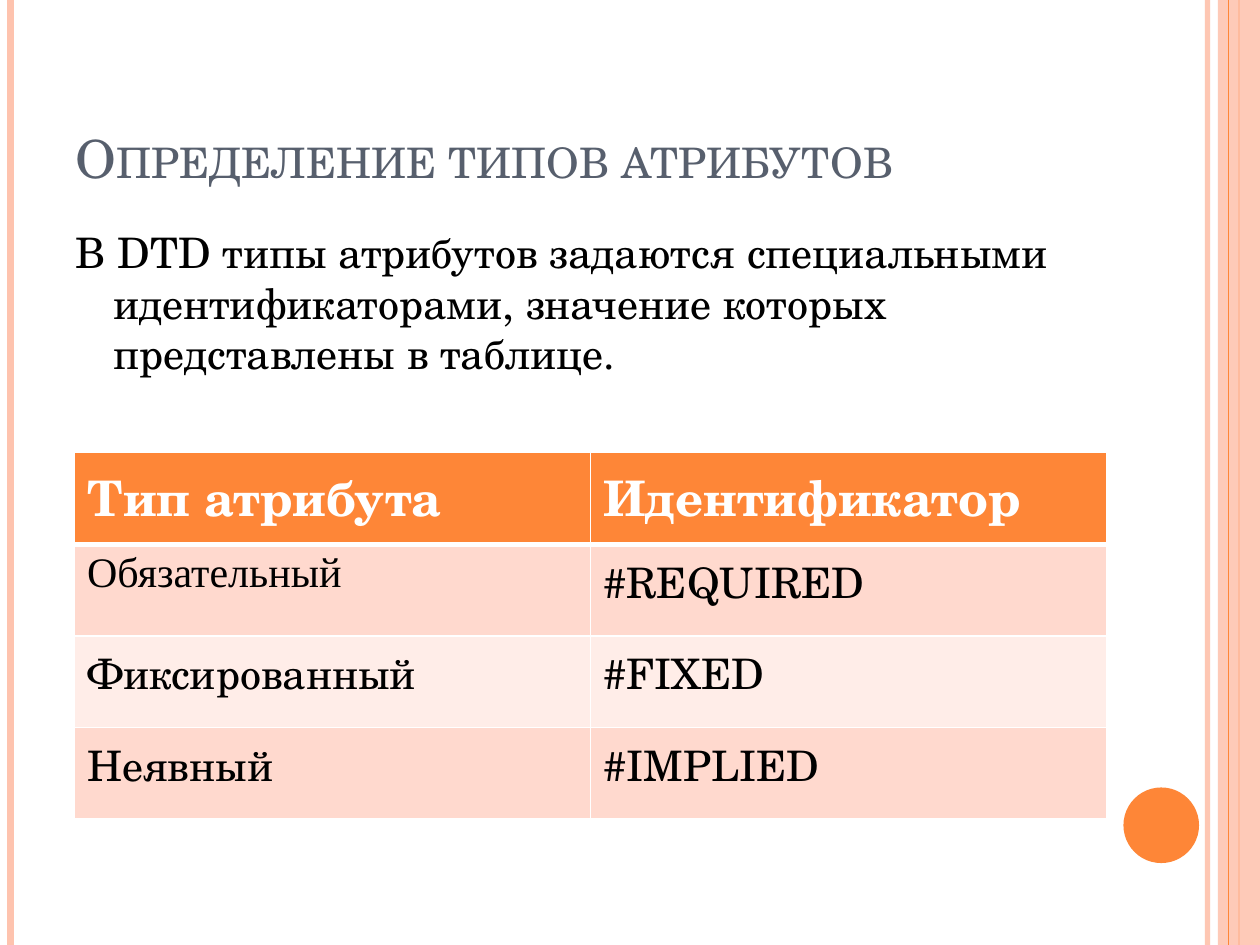
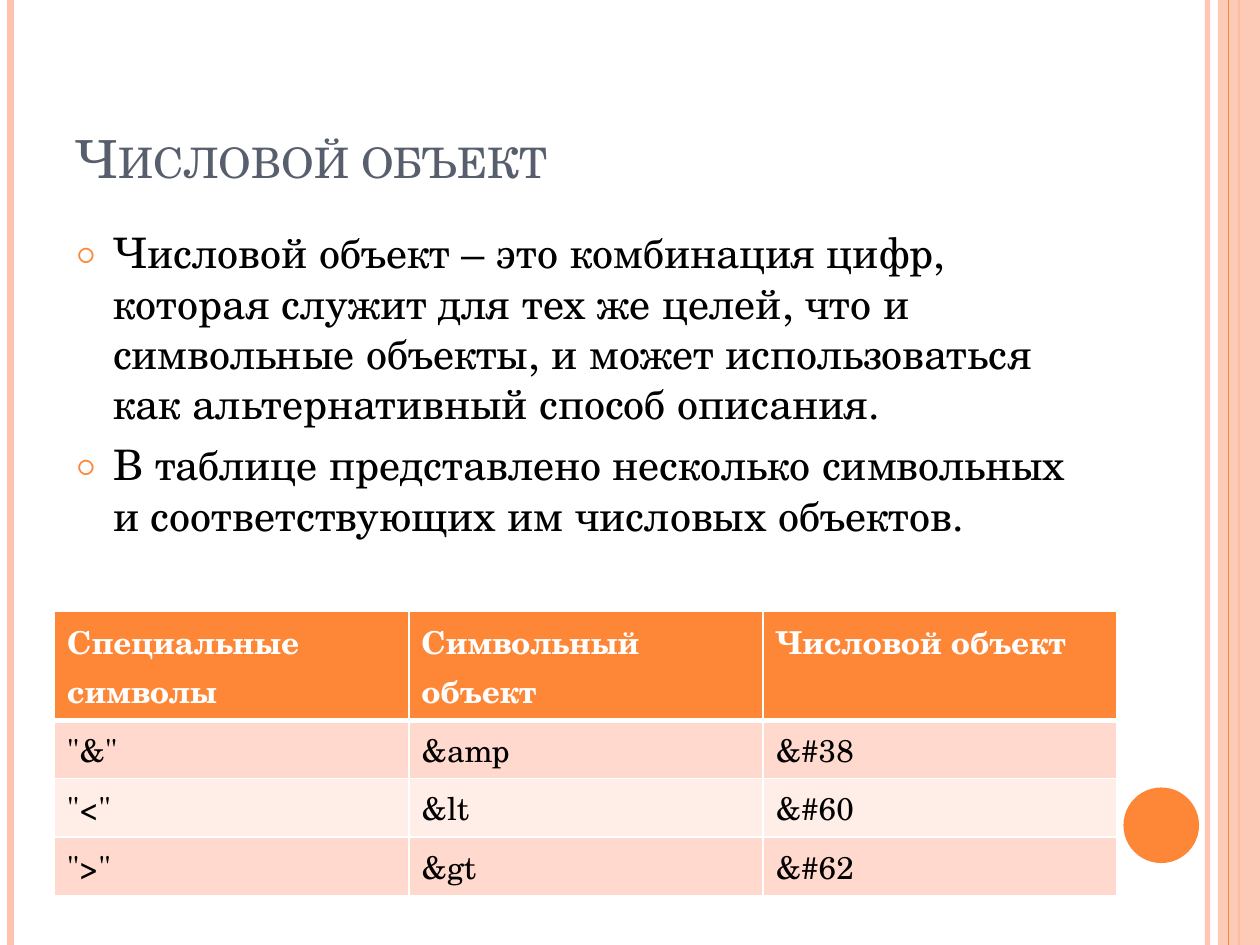
from dataclasses import dataclass
from typing import NamedTuple, Optional

from lxml.etree import SubElement as add_element
from pptx import Presentation
from pptx.dml.color import RGBColor
from pptx.enum.shapes import MSO_CONNECTOR as Connector, MSO_SHAPE as Shape
from pptx.enum.text import MSO_ANCHOR as Anchor
from pptx.oxml.ns import qn
from pptx.util import Inches, Pt

# Grid: 120 columns by 90 rows over the whole slide
COLUMNS, ROWS = 120, 90
SLIDE_WIDTH, SLIDE_HEIGHT = Inches(10), Inches(7.5)


@dataclass(frozen=True)
class Theme:
    font: str = "TeX Gyre Schola"
    plain_font: str = "Times New Roman"
    accent: str = "FE8637"
    band: str = "FEC3AE"
    title: str = "575F6D"
    text: str = "000000"
    white: str = "FFFFFF"
    row_tints: tuple[str, str] = ("FFD9CE", "FFEDE8")
    title_size: float = 30
    body_size: float = 24


THEME = Theme()


class Area(NamedTuple):
    left: float
    top: float
    width: float
    height: float

    def lengths(self) -> tuple[int, int, int, int]:
        return (across(self.left), down(self.top), across(self.width), down(self.height))


class Stripe(NamedTuple):
    column: float
    color: str
    weight: float
    opacity: int = 100


class Block(NamedTuple):
    area: Area
    shape: Shape
    color: str
    opacity: int = 100


@dataclass(frozen=True)
class TableSpec:
    left: float
    top: float
    width: float
    row_heights: tuple[float, ...]
    header_size: float
    cell_size: float
    rows: tuple[tuple[str, ...], ...]
    plain_cell: Optional[tuple[int, int]] = None


@dataclass(frozen=True)
class Page:
    title: str
    body: tuple[str, ...]
    bulleted: bool
    table: TableSpec


TITLE_AREA = Area(6, 3.6, 98, 15)
BODY_AREA = Area(6, 21, 98, 64)

# Side decoration, from back to front
DECORATION = (
    Stripe(115, THEME.band, 3, 93),
    Stripe(1, THEME.band, 4.5),
    Stripe(118, THEME.accent, 1.5),
    Block(Area(116, 0, 4, ROWS), Shape.RECTANGLE, THEME.band, 87),
    Stripe(117, THEME.accent, 0.75),
    Block(Area(107, 75, 7.2, 7.2), Shape.OVAL, THEME.accent),
)

PAGES = (
    Page(
        "Определение типов атрибутов",
        ("В DTD типы атрибутов задаются специальными идентификаторами, "
         "значение которых представлены в таблице.",),
        False,
        TableSpec(7.1, 43.1, 98.3, (8.73,) * 4, 28, 24, (
            ("Тип атрибута", "Идентификатор"),
            ("Обязательный", "#REQUIRED"),
            ("Фиксированный", "#FIXED"),
            ("Неявный", "#IMPLIED"),
        ), plain_cell=(1, 0)),
    ),
    Page(
        "Числовой объект",
        ("Числовой объект – это комбинация цифр, которая служит для тех же целей, "
         "что и символьные объекты, и может использоваться как альтернативный "
         "способ описания.",
         "В таблице представлено несколько символьных и соответствующих им "
         "числовых объектов."),
        True,
        TableSpec(5.2, 58.2, 101.2, (10.4,) + (5.57,) * 3, 18, 18, (
            ("Специальные символы", "Символьный объект", "Числовой объект"),
            ('"&"', "&amp", "&#38"),
            ('"<"', "&lt", "&#60"),
            ('">"', "&gt", "&#62"),
        )),
    ),
)


def across(columns: float) -> int:
    return round(SLIDE_WIDTH * columns / COLUMNS)


def down(rows: float) -> int:
    return round(SLIDE_HEIGHT * rows / ROWS)


def set_opacity(element, percent: int) -> None:
    if percent < 100:
        color = next(element.iter(qn("a:srgbClr")))
        add_element(color, qn("a:alpha"), val=str(percent * 1000))


def format_runs(para, size: float, color: str, font: str = THEME.font,
                bold: bool = False) -> None:
    for span in para.runs:
        span.font.name, span.font.size, span.font.bold = font, Pt(size), bold
        span.font.color.rgb = RGBColor.from_string(color)


# Decoration
def draw_stripe(slide, stripe: Stripe) -> None:
    x = across(stripe.column)
    line = slide.shapes.add_connector(Connector.STRAIGHT, x, 0, x, SLIDE_HEIGHT)
    line.line.color.rgb = RGBColor.from_string(stripe.color)
    line.line.width = Pt(stripe.weight)
    properties = line._element.spPr
    set_opacity(properties, stripe.opacity)
    add_element(properties, qn("a:effectLst"))


def draw_block(slide, block: Block) -> None:
    shape = slide.shapes.add_shape(block.shape, *block.area.lengths())
    shape.shadow.inherit = False
    shape.fill.solid()
    shape.fill.fore_color.rgb = RGBColor.from_string(block.color)
    shape.line.fill.background()
    set_opacity(shape._element.spPr, block.opacity)


# Text
def add_text_frame(slide, area: Area, anchor: Anchor):
    frame = slide.shapes.add_textbox(*area.lengths()).text_frame
    frame.word_wrap = True
    frame.vertical_anchor = anchor
    return frame


def draw_title(slide, title: str) -> None:
    frame = add_text_frame(slide, TITLE_AREA, Anchor.BOTTOM)
    frame.text = title
    para = frame.paragraphs[0]
    format_runs(para, THEME.title_size, THEME.title)
    para.runs[0].font._element.set("cap", "small")


def add_bullet(properties) -> None:
    color = add_element(properties, qn("a:buClr"))
    add_element(color, qn("a:srgbClr"), val=THEME.accent)
    add_element(properties, qn("a:buSzPct"), val="70000")
    add_element(properties, qn("a:buFont"), typeface=THEME.font)
    add_element(properties, qn("a:buChar"), char="○")


def draw_body(slide, body: tuple[str, ...], bulleted: bool) -> None:
    frame = add_text_frame(slide, BODY_AREA, Anchor.TOP)
    frame.text = "\n".join(body)
    for para in frame.paragraphs:
        para.space_before = Pt(6)
        format_runs(para, THEME.body_size, THEME.text)
        properties = para._p.get_or_add_pPr()
        properties.set("marL", str(Inches(0.3)))
        properties.set("indent", str(-Inches(0.3)))
        if bulleted:
            add_bullet(properties)


# Table
def set_borders(cell, row: int) -> None:
    properties = cell._tc.get_or_add_tcPr()
    weights = {"lnL": 1, "lnR": 1, "lnT": 3 if row == 1 else 1, "lnB": 3 if row == 0 else 1}
    for position, (side, weight) in enumerate(weights.items()):
        line = add_element(properties, qn(f"a:{side}"), w=str(Pt(weight)))
        fill = add_element(line, qn("a:solidFill"))
        add_element(fill, qn("a:srgbClr"), val=THEME.white)
        properties.insert(position, line)


def draw_table(slide, spec: TableSpec) -> None:
    area = Area(spec.left, spec.top, spec.width, sum(spec.row_heights))
    table = slide.shapes.add_table(len(spec.rows), len(spec.rows[0]), *area.lengths()).table
    for row, (height, texts) in enumerate(zip(spec.row_heights, spec.rows)):
        table.rows[row].height = down(height)
        header = row == 0
        for column, text in enumerate(texts):
            cell = table.cell(row, column)
            cell.text = text
            cell.fill.solid()
            tint = THEME.accent if header else THEME.row_tints[(row - 1) % 2]
            cell.fill.fore_color.rgb = RGBColor.from_string(tint)
            set_borders(cell, row)
            plain = (row, column) == spec.plain_cell
            format_runs(cell.text_frame.paragraphs[0],
                        spec.header_size if header else spec.cell_size,
                        THEME.white if header else THEME.text,
                        THEME.plain_font if plain else THEME.font, bold=header)


def draw_page(deck, page: Page) -> None:
    slide = deck.slides.add_slide(deck.slide_layouts[6])
    for part in DECORATION:
        if isinstance(part, Stripe):
            draw_stripe(slide, part)
        else:
            draw_block(slide, part)
    draw_title(slide, page.title)
    draw_body(slide, page.body, page.bulleted)
    draw_table(slide, page.table)


def main() -> None:
    deck = Presentation()
    deck.slide_width, deck.slide_height = SLIDE_WIDTH, SLIDE_HEIGHT
    for page in PAGES:
        draw_page(deck, page)
    deck.save("out.pptx")


if __name__ == "__main__":
    main()
